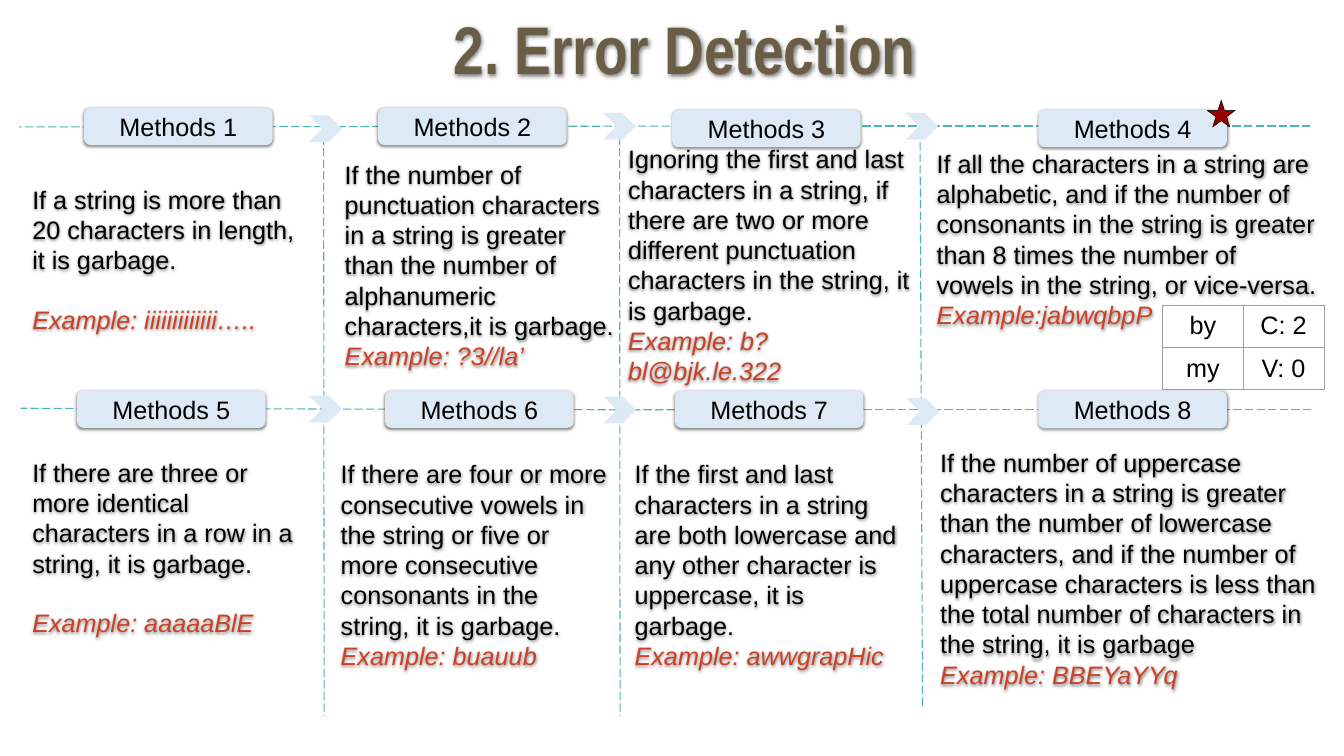
"""Build the error detection slide: eight numbered methods in two rows of four."""
from lxml.etree import SubElement
from pptx import Presentation
from pptx.dml.color import RGBColor
from pptx.enum.dml import MSO_LINE
from pptx.enum.shapes import MSO_CONNECTOR, MSO_SHAPE
from pptx.enum.text import MSO_ANCHOR as ANCHOR, MSO_AUTO_SIZE, PP_ALIGN as ALIGN
from pptx.oxml import parse_xml
from pptx.oxml.ns import nsdecls, qn
from pptx.util import Pt

BLACK = RGBColor(0x00, 0x00, 0x00)
BROWN = RGBColor(0x69, 0x5D, 0x46)
TEAL = RGBColor(0x4D, 0xB6, 0xAC)
PALE_BLUE = RGBColor(0xDD, 0xEA, 0xF6)
ORANGE = RGBColor(0xCC, 0x41, 0x25)
RED = RGBColor(0x98, 0x00, 0x00)
GREY = RGBColor(0x9E, 0x9E, 0x9E)

TITLE = "2. Error Detection"
METHODS = [
    {"label": (120, 154), "box": (39, 240, 402, 264), "gap": 41.4,
     "rule": "If a string is more than 20 characters in length, it is garbage.",
     "example": "Example: iiiiiiiiiiiii….."},
    {"label": (540, 154), "box": (485.3, 204, 402, 355), "gap": 0,
     "rule": "If the number of punctuation characters in a string is greater than "
             "the number of alphanumeric characters,it is garbage.",
     "example": "Example: ?3//la’"},
    {"label": (960, 157), "box": (890, 182, 425, 355), "gap": 0,
     "rule": "Ignoring the first and last characters in a string, if there are two or "
             "more different punctuation characters in the string, it is garbage.",
     "example": "Example: b?bl@bjk.le.322"},
    {"label": (1483, 157), "box": (1330.6, 188.6, 562.3, 355), "gap": 0,
     "rule": "If all the characters in a string are alphabetic, and if the number of "
             "consonants in the string is greater than 8 times the number of vowels "
             "in the string, or vice-versa.",
     "example": "Example:jabwqbpP"},
    {"label": (110, 558), "box": (39, 630, 402, 346), "gap": 41.4,
     "rule": "If there are three or more identical characters in a row in a string, "
             "it is garbage.",
     "example": "Example: aaaaaBlE"},
    {"label": (550, 558), "box": (479.5, 632, 402, 346), "gap": 0,
     "rule": "If there are four or more consecutive vowels in the string or five or "
             "more consecutive consonants in the string, it is garbage.",
     "example": "Example: buauub"},
    {"label": (964, 558), "box": (899.3, 632, 402, 346), "gap": 0,
     "rule": "If the first and last characters in a string are both lowercase and any "
             "other character is uppercase, it is garbage.",
     "example": "Example: awwgrapHic"},
    {"label": (1483, 558.7), "box": (1335.6, 615.6, 577.4, 407.5), "gap": 0,
     "rule": "If the number of uppercase characters in a string is greater than the "
             "number of lowercase characters, and if the number of uppercase "
             "characters is less than the total number of characters in the string, "
             "it is garbage",
     "example": "Example: BBEYaYYq"},
]
LINES = [
    (462.2, 195, 463, 1023), (884.9, 195, 885.6, 1023), (1314, 186.5, 1317.6, 1011.6),
    (1096.6, 586, 29.5, 583.2), (1872.7, 585.4, 881.3, 585.4),
    (1105.2, 180, 27.4, 181.4), (1871.3, 180, 1148.4, 180),
]
CHEVRONS = [(441.4, 164.9), (861.1, 161.3), (1293.1, 161.3),
            (441.4, 565.2), (861.8, 566.6), (1294.6, 568.8)]
COUNTS = [["by", "C: 2"], ["my", "V: 0"]]
LABEL_SIZE = (269.3, 53.3)
CHEVRON_SIZE = (46.8, 38.2)
INSET = 7.2
TEXT_TOP = 23.2


def points(*lengths):
    return [Pt(length) for length in lengths]


def write(paragraph, text, size=36, font="Arial", color=BLACK, bold=False,
          italic=False, align=ALIGN.LEFT):
    paragraph.alignment = align
    run = paragraph.add_run()
    run.text = text
    run.font.size, run.font.name = Pt(size), font
    run.font.bold, run.font.italic = bold, italic
    run.font.color.rgb = color


def set_margins(target, left, top, right, bottom):
    target.margin_left, target.margin_top = Pt(left), Pt(top)
    target.margin_right, target.margin_bottom = Pt(right), Pt(bottom)


def add_shadow(shape):
    shape.shadow.inherit = False
    effects = shape._element.spPr.find(qn("a:effectLst"))
    effects.append(parse_xml(
        f'<a:outerShdw {nsdecls("a")} blurRad="{Pt(4.5)}" dist="{Pt(1.5)}" '
        'dir="5400000" algn="bl" rotWithShape="0"><a:srgbClr val="000000">'
        '<a:alpha val="50000"/></a:srgbClr></a:outerShdw>'))


def add_preset(slide, kind, position, size, color):
    shape = slide.shapes.add_shape(kind, *points(*position, *size))
    shape.shadow.inherit = False
    shape.fill.solid()
    shape.fill.fore_color.rgb = color
    shape.line.fill.background()
    return shape


def add_title(slide):
    title = slide.shapes.title
    title.left, title.top, title.width, title.height = points(0, 15.8, 1919.5, 152)
    frame = title.text_frame
    frame.auto_size, frame.word_wrap = MSO_AUTO_SIZE.NONE, True
    frame.vertical_anchor = ANCHOR.TOP
    set_margins(frame, 50.4, INSET, 14.4, INSET)
    paragraph = frame.paragraphs[0]
    paragraph.line_spacing = 0.9
    write(paragraph, TITLE, size=96, font="Arial Narrow", color=BROWN, bold=True,
          align=ALIGN.CENTER)
    add_shadow(title)


def add_line(slide, ends):
    line = slide.shapes.add_connector(MSO_CONNECTOR.STRAIGHT, *points(*ends))
    line.line.color.rgb = TEAL
    line.line.width = Pt(1.5)
    line.line.dash_style = MSO_LINE.LONG_DASH
    SubElement(line._element.spPr, qn("a:effectLst"))


def add_label(slide, number, position):
    label = add_preset(slide, MSO_SHAPE.ROUNDED_RECTANGLE, position, LABEL_SIZE, PALE_BLUE)
    add_shadow(label)
    label.text_frame.vertical_anchor = ANCHOR.MIDDLE
    set_margins(label.text_frame, 14.4, INSET, 14.4, INSET)
    write(label.text_frame.paragraphs[0], f"Methods {number}", align=ALIGN.CENTER)


def add_description(slide, method):
    box = slide.shapes.add_textbox(*points(*method["box"]))
    add_shadow(box)
    frame = box.text_frame
    frame.word_wrap = True
    set_margins(frame, INSET, TEXT_TOP, INSET, INSET)
    write(frame.paragraphs[0], method["rule"])
    example = frame.add_paragraph()
    example.space_before = Pt(method["gap"])
    write(example, method["example"], color=ORANGE, italic=True)


def add_counts(slide):
    frame = slide.shapes.add_table(2, 2, *points(1660.3, 435.6, 230.4, 121))
    table = frame.table
    table.first_row = table.horz_banding = False
    for row, texts in zip(table.rows, COUNTS):
        for cell, text in zip(row.cells, texts):
            cell.vertical_anchor = ANCHOR.MIDDLE
            set_margins(cell, INSET, INSET, INSET, INSET)
            cell.fill.background()
            write(cell.text_frame.paragraphs[0], text, align=ALIGN.CENTER)
            properties = cell._tc.get_or_add_tcPr()
            for index, side in enumerate("LRTB"):
                properties.insert(index, parse_xml(
                    f'<a:ln{side} {nsdecls("a")} w="{Pt(0.75)}"><a:solidFill>'
                    f'<a:srgbClr val="{GREY}"/></a:solidFill></a:ln{side}>'))


def main():
    presentation = Presentation()
    presentation.slide_width, presentation.slide_height = points(1919.5, 1080)
    slide = presentation.slides.add_slide(presentation.slide_layouts[5])
    add_title(slide)
    for ends in LINES:
        add_line(slide, ends)
    for number, method in enumerate(METHODS, start=1):
        add_label(slide, number, method["label"])
    for position in CHEVRONS:
        add_preset(slide, MSO_SHAPE.CHEVRON, position, CHEVRON_SIZE, PALE_BLUE)
    for method in METHODS:
        add_description(slide, method)
    add_counts(slide)
    star = add_preset(slide, MSO_SHAPE.STAR_5_POINT, (1724.4, 143.3), (39.6, 38.2), RED)
    star.line.color.rgb = BLACK
    star.line.width = Pt(0.75)
    presentation.save("out.pptx")


if __name__ == "__main__":
    main()
